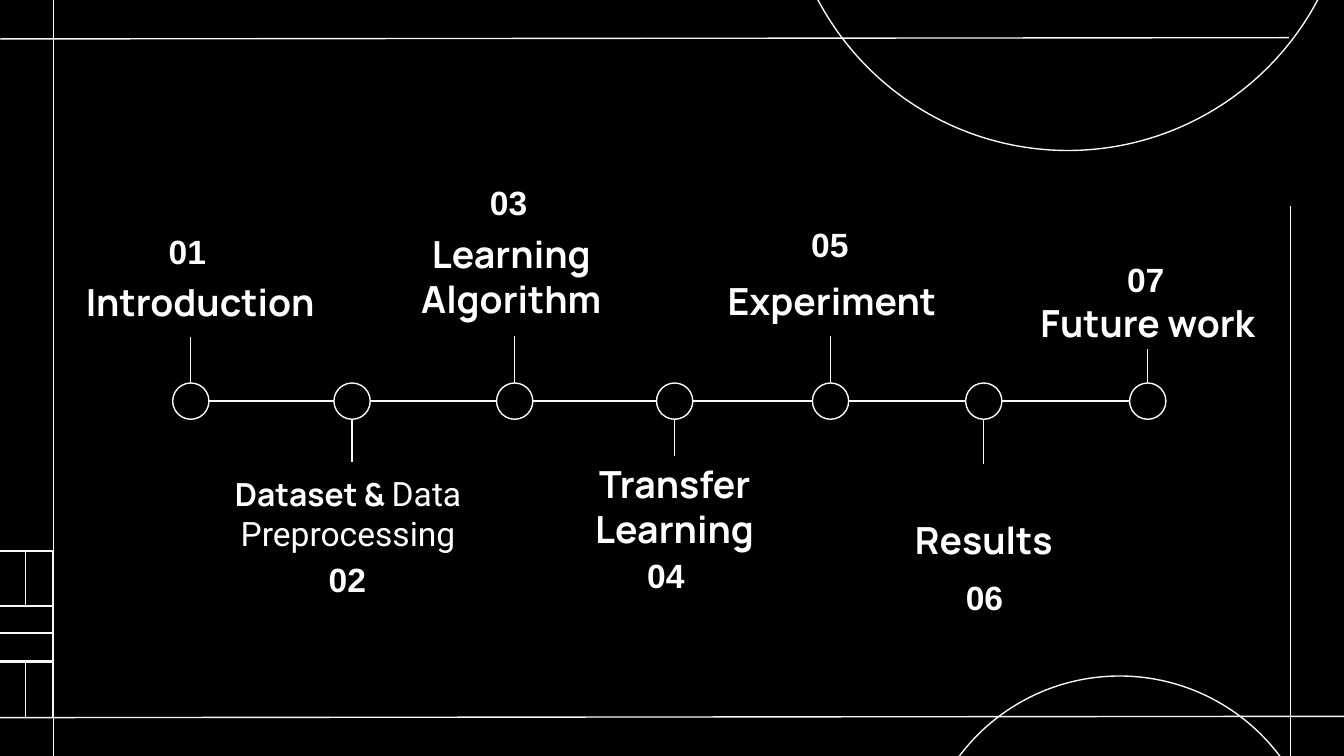
from collections import namedtuple

from lxml.etree import SubElement
from pptx import Presentation
from pptx.dml.color import RGBColor
from pptx.enum.shapes import MSO_CONNECTOR as Connector, MSO_SHAPE as Shape
from pptx.enum.text import MSO_ANCHOR as Anchor, PP_ALIGN as Align
from pptx.oxml.ns import qn
from pptx.util import Inches, Pt

Theme = namedtuple("Theme", "ground rule ring ink stroke title_font title_size "
                   "plain_font small_size number_font number_size")
theme = Theme("000000", "F8F8F8", "FFFFFF", "FFFFFF", 0.75,
              "Manrope", 20, "Roboto", 17, "Arial", 18)

COLUMNS, ROWS = 100, 56.25
CELL = Inches(10) / COLUMNS

Step = namedtuple("Step", "number title node stem_end title_mid title_top title_width "
                  "number_mid number_top")
steps = [
    Step("01", "Introduction", 14.2, 25.1, 14.9, 18.8, 19.8, 13.95, 16.2),
    Step("02", "Dataset & |Data Preprocessing", 26.2, 34.4, 25.9, 35.9, 19.8, 25.85, 40.6),
    Step("03", "Learning Algorithm", 38.3, 25, 38.05, 18.6, 22.9, 37.85, 12.6),
    Step("04", "Transfer Learning", 50.2, 33.9, 50.2, 35.7, 23.4, 49.55, 40.3),
    Step("05", "Experiment", 61.8, 25, 61.9, 18.7, 19.8, 61.75, 15.7),
    Step("06", "Results", 73.2, 34.5, 73.2, 36.5, 19.8, 73.25, 42),
    Step("07", "Future work", 85.4, 26, 85.4, 20.4, 19.8, 85.25, 18.3),
]
links = [("01", "02"), ("02", "03"), ("03", "04"), ("04", "05"), ("05", "07")]

AXIS, NODE = 29.85, 2.7
TITLE_HEIGHT, NUMBER_WIDTH, NUMBER_HEIGHT = 6.3, 7.7, 4.9
LEFT_RULE, RIGHT_RULE = 4, 96
frame_rules = [
    (-0.3, 2.9, 100.3, 2.8),
    (-0.3, 53.4, 100.3, 53.3),
    (LEFT_RULE, -0.1, LEFT_RULE, 56.6),
    (RIGHT_RULE, -0.1, RIGHT_RULE, 56.6),
]
TILE, TILE_LEFT, TILE_MID = 4.1, -0.2, 1.9
tile_tops = [41, 45.1, 49.3]
tile_rules = [
    (TILE_MID, 41, TILE_MID, 45.1),
    (TILE_LEFT, 47.1, LEFT_RULE, 47.1),
    (TILE_MID, 49.3, TILE_MID, 53.4),
]

presentation = Presentation()
presentation.slide_width = round(COLUMNS * CELL)
presentation.slide_height = round(ROWS * CELL)
slide = presentation.slides.add_slide(presentation.slide_layouts[6])
slide.background.fill.solid()
slide.background.fill.fore_color.rgb = RGBColor.from_string(theme.ground)


def place(*cells):
    return [round(value * CELL) for value in cells]


def add_rule(*ends):
    rule = slide.shapes.add_connector(Connector.STRAIGHT, *place(*ends))
    rule.line.color.rgb = RGBColor.from_string(theme.rule)
    rule.line.width = Pt(theme.stroke)
    SubElement(rule._element.spPr, qn("a:effectLst"))


def add_outline(kind, *box, line=theme.rule, fill=None):
    outline = slide.shapes.add_shape(kind, *place(*box))
    outline.shadow.inherit = False
    outline.line.color.rgb = RGBColor.from_string(line)
    outline.line.width = Pt(theme.stroke)
    if fill:
        outline.fill.solid()
        outline.fill.fore_color.rgb = RGBColor.from_string(fill)
    else:
        outline.fill.background()


def add_text(runs, *box, anchor):
    frame = slide.shapes.add_textbox(*place(*box)).text_frame
    frame.word_wrap = True
    frame.vertical_anchor = anchor
    frame.margin_left = frame.margin_right = Inches(0.1)
    frame.margin_top = frame.margin_bottom = Inches(0.1)
    paragraph = frame.paragraphs[0]
    paragraph.alignment = Align.CENTER
    for words, font, size, bold in runs:
        run = paragraph.add_run()
        run.text = words
        run.font.name = font
        run.font.size = Pt(size)
        run.font.bold = bold
        run.font.color.rgb = RGBColor.from_string(theme.ink)


def title_runs(title):
    strong, _, plain = title.partition("|")
    if not plain:
        return [(strong, theme.title_font, theme.title_size, True)]
    return [(strong, theme.title_font, theme.small_size, True),
            (plain, theme.plain_font, theme.number_size, False)]


for ends in frame_rules:
    add_rule(*ends)
add_outline(Shape.RECTANGLE, RIGHT_RULE, 0, COLUMNS - RIGHT_RULE, 15.3,
            line=theme.ground, fill=theme.ground)
add_outline(Shape.OVAL, 68.4, 50.3, 29.8, 29.8)
for top in tile_tops:
    add_outline(Shape.RECTANGLE, TILE_LEFT, top, TILE, TILE)
for ends in tile_rules:
    add_rule(*ends)

node_of = {step.number: step.node for step in steps}
for start, end in links:
    add_rule(node_of[start] + NODE / 2, AXIS, node_of[end] - NODE / 2, AXIS)

for step in steps:
    side = 1 if step.stem_end > AXIS else -1
    add_rule(step.node, AXIS + side * NODE / 2, step.node, step.stem_end)
    add_outline(Shape.OVAL, step.node - NODE / 2, AXIS - NODE / 2, NODE, NODE,
                line=theme.ring, fill=theme.ground)
    add_text(title_runs(step.title), step.title_mid - step.title_width / 2,
             step.title_top, step.title_width, TITLE_HEIGHT, anchor=Anchor.BOTTOM)
    add_text([(step.number, theme.number_font, theme.number_size, True)],
             step.number_mid - NUMBER_WIDTH / 2, step.number_top,
             NUMBER_WIDTH, NUMBER_HEIGHT, anchor=Anchor.MIDDLE)

add_outline(Shape.OVAL, 58.4, -31, 42.1, 42.2)

presentation.save("out.pptx")
